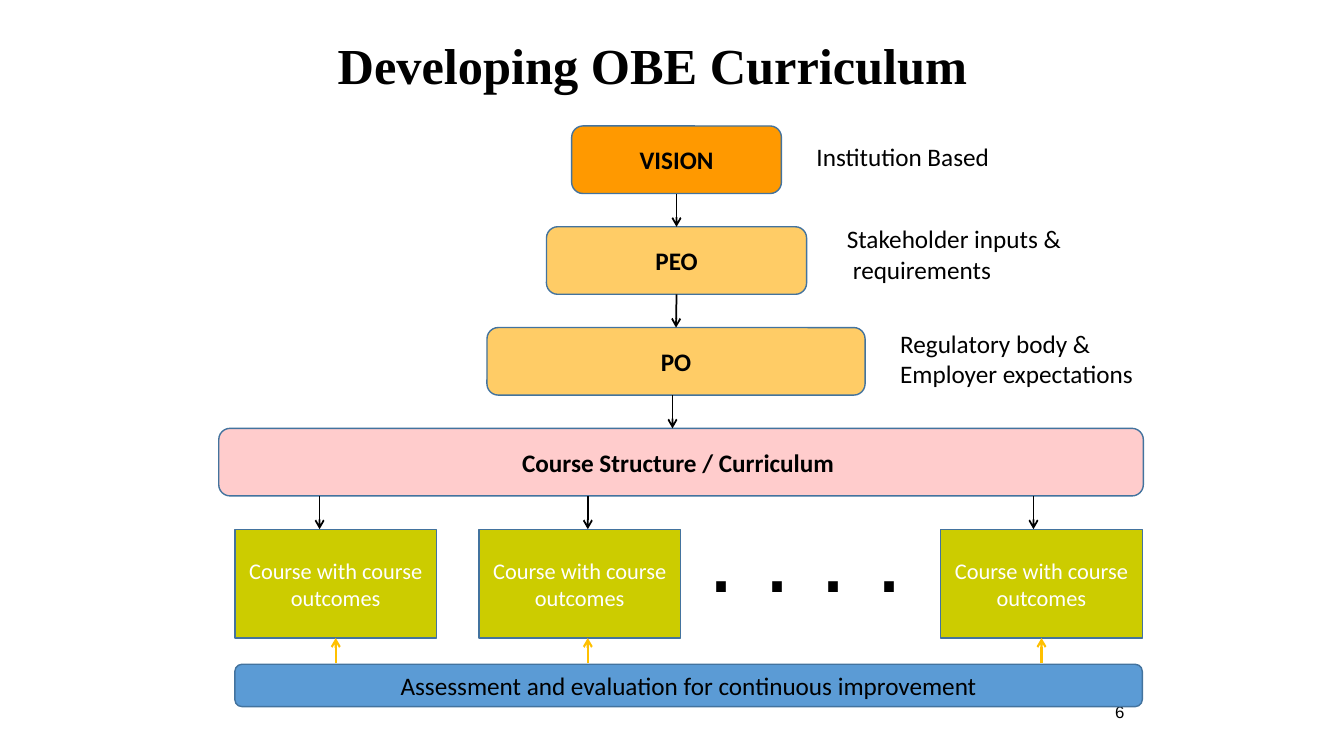
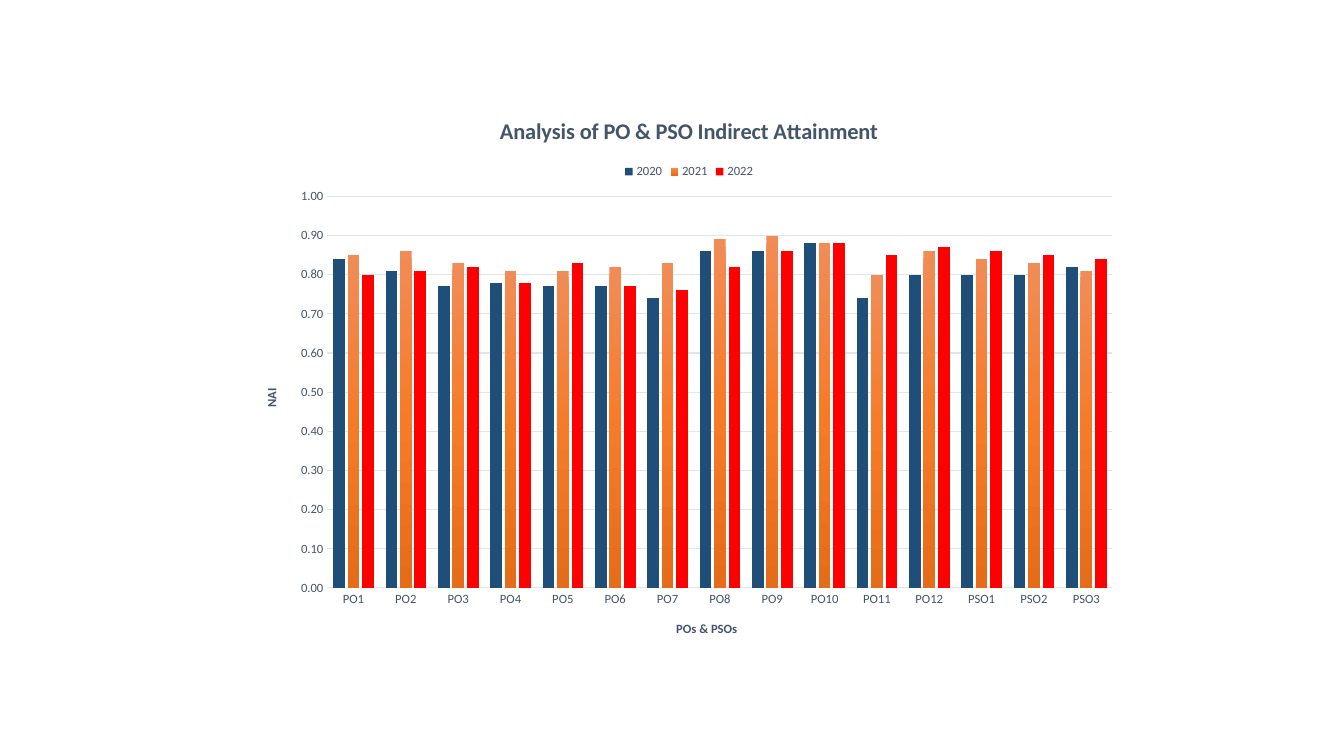
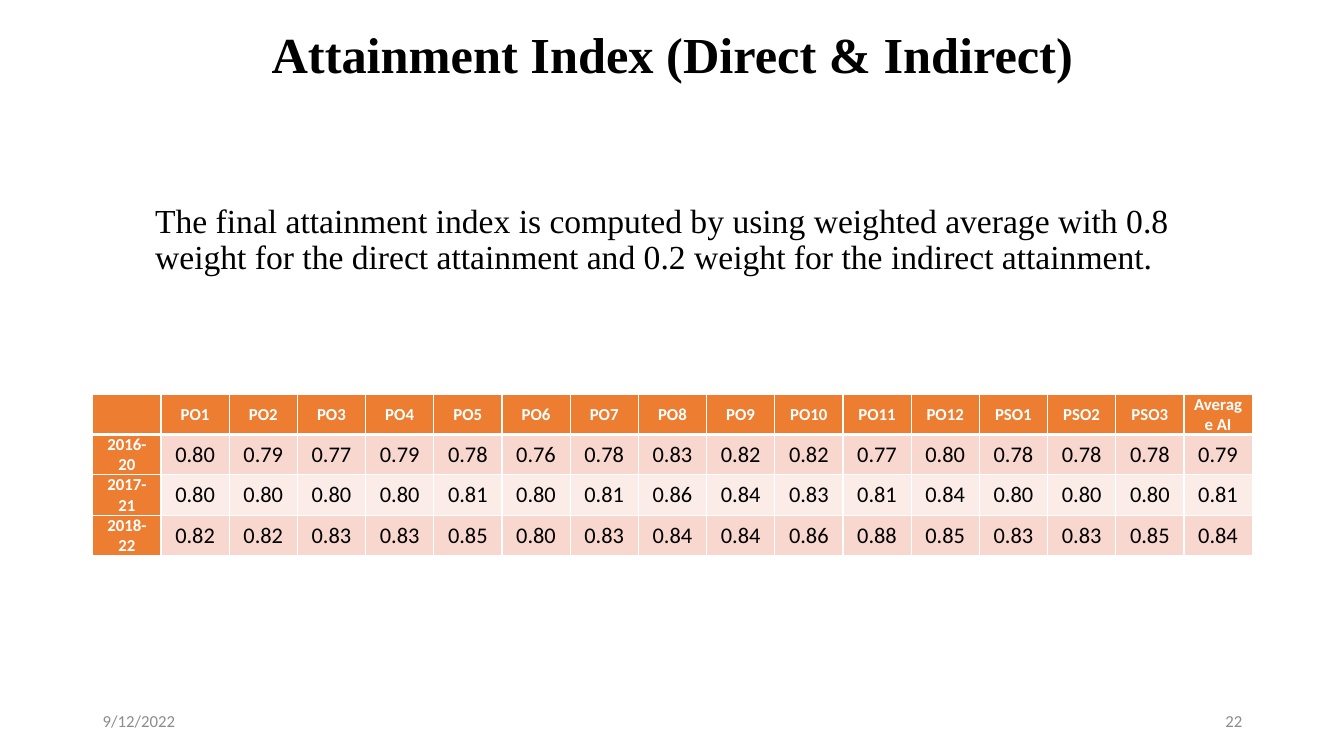
from dataclasses import dataclass

from lxml import etree
from copy import deepcopy
from pptx import Presentation
from pptx import util as u
from pptx.chart import data as chart_data
from pptx.dml.color import RGBColor
from pptx.enum import chart as charts, shapes, text
from pptx.oxml import parse_xml
from pptx.oxml.ns import nsdecls, qn

LEFT, CENTER, RIGHT = text.PP_ALIGN.LEFT, text.PP_ALIGN.CENTER, text.PP_ALIGN.RIGHT
TOP, MIDDLE = text.MSO_ANCHOR.TOP, text.MSO_ANCHOR.MIDDLE
ROUNDED = shapes.MSO_SHAPE.ROUNDED_RECTANGLE
RECTANGLE = shapes.MSO_SHAPE.RECTANGLE


@dataclass(frozen=True)
class Theme:
    serif: str = "Times New Roman"
    sans: str = "Calibri"
    plain: str = "Arial"
    black: str = "000000"
    white: str = "FFFFFF"
    grey: str = "8C8C8C"
    outline: str = "43739E"
    vision: str = "FF9900"
    goal: str = "FFCC66"
    structure: str = "FFCCCC"
    course: str = "CCCC00"
    assessment: str = "5B9BD5"
    feedback: str = "FFC000"
    slate: str = "44546A"
    grid: str = "E0E5EB"
    navy: str = "1F4E79"
    red: str = "FF0000"
    flame: tuple = ((0, "F18C57"), (0.5, "F67B28"), (1, "E56C19"))
    header: str = "ED7D31"
    bands: tuple = ("F8D7CE", "FCECE8")
    title_size: int = 36
    body_size: int = 24
    label_size: int = 18
    cell_size: int = 16
    small_size: int = 12
    axis_size: int = 9
    dots_size: int = 72


THEME = Theme()


def rgb(value):
    return RGBColor.from_string(value)


def set_font(font, size, color=THEME.black, name=THEME.sans, bold=False):
    font.size, font.name, font.bold = u.Pt(size), name, bold
    font.color.rgb = rgb(color)


class Builder:
    """Holds the deck, its style and the slide being filled."""

    def __init__(self):
        self.deck = Presentation()
        self.deck.slide_width = u.Inches(13.33)
        self.deck.slide_height = u.Inches(7.5)
        self.page = None

    def new_page(self):
        self.page = self.deck.slides.add_slide(self.deck.slide_layouts[6])

    def set_text(self, frame, lines, size, align=LEFT, anchor=TOP, spacing=None,
                 indents=(), **font):
        frame.vertical_anchor = anchor
        for index, line in enumerate(lines):
            para = frame.paragraphs[0] if index == 0 else frame.add_paragraph()
            para.text = line
            para.alignment = align
            if spacing:
                para.line_spacing = spacing
            if index < len(indents):
                para._p.get_or_add_pPr().set("marL", str(u.Inches(indents[index])))
            set_font(para.font, size, **font)

    def text_box(self, place, *lines, size=THEME.label_size, wrap=True, **style):
        box = self.page.shapes.add_textbox(*map(u.Inches, place))
        frame = box.text_frame
        frame.word_wrap = wrap
        if not wrap:
            frame.auto_size = text.MSO_AUTO_SIZE.SHAPE_TO_FIT_TEXT
        self.set_text(frame, lines, size, **style)

    def title(self, place, words, align=LEFT):
        self.text_box(place, words, size=THEME.title_size, align=align, anchor=MIDDLE,
                      spacing=0.9, name=THEME.serif, bold=True)

    def block(self, place, words, fill, kind=ROUNDED, size=THEME.label_size, **font):
        box = self.page.shapes.add_shape(kind, *map(u.Inches, place))
        box.shadow.inherit = False
        box.fill.solid()
        box.fill.fore_color.rgb = rgb(fill)
        box.line.color.rgb = rgb(THEME.outline)
        box.line.width = u.Pt(1)
        box.text_frame.word_wrap = True
        self.set_text(box.text_frame, [words], size, CENTER, MIDDLE, **font)
        return box

    def arrow(self, x, top, bottom, color=THEME.black, width=1.25, begin=None, end=None):
        """Vertical arrow; begin and end are (box, side) pairs to join."""
        line = self.page.shapes.add_connector(
            shapes.MSO_CONNECTOR.STRAIGHT, *map(u.Inches, (x, top, x, bottom)))
        if begin:
            line.begin_connect(*begin)
        if end:
            line.end_connect(*end)
        line.line.color.rgb = rgb(color)
        line.line.width = u.Pt(width)
        etree.SubElement(line.line._get_or_add_ln(), qn("a:tailEnd"), type="arrow")
        etree.SubElement(line._element.spPr, qn("a:effectLst"))

    def column_chart(self, place, title, axis_titles, categories, series, layout):
        data = chart_data.CategoryChartData(number_format="0.00")
        data.categories = categories
        for name, _, values in series:
            data.add_series(name, values)
        chart = self.page.shapes.add_chart(
            charts.XL_CHART_TYPE.COLUMN_CLUSTERED, *map(u.Inches, place), data).chart
        set_font(chart.font, THEME.axis_size, THEME.slate)

        # Titles and legend
        chart.has_title = True
        chart.chart_title.include_in_layout = False
        axes = (chart.category_axis, chart.value_axis)
        headings = [(chart.chart_title, title, THEME.cell_size)]
        headings += [(axis.axis_title, words, THEME.axis_size)
                     for axis, words in zip(axes, axis_titles)]
        for heading, words, size in headings:
            self.set_text(heading.text_frame, [words], size, CENTER,
                          color=THEME.slate, bold=True)
        chart.has_legend = True
        chart.legend.position = charts.XL_LEGEND_POSITION.TOP
        chart.legend.include_in_layout = False
        set_font(chart.legend.font, THEME.axis_size, THEME.slate)

        # Axes
        for axis in axes:
            axis.major_tick_mark = charts.XL_TICK_MARK.NONE
            set_font(axis.tick_labels.font, THEME.axis_size, THEME.slate)
        category, value = axes
        value.minimum_scale, value.maximum_scale, value.major_unit = 0, 1, 0.1
        value.tick_labels.number_format = "0.00"
        value.tick_labels.number_format_is_linked = False
        value.format.line.fill.background()
        for line in (category.format.line, value.major_gridlines.format.line):
            line.color.rgb = rgb(THEME.grid)
            line.width = u.Pt(0.75)

        # Columns
        plot = chart.plots[0]
        plot.gap_width, plot.overlap, plot.vary_by_categories = 100, -24, False
        for columns, (_, color, _) in zip(plot.series, series):
            fill = columns.format.fill
            if isinstance(color, str):
                fill.solid()
                fill.fore_color.rgb = rgb(color)
            else:
                self.gradient(columns, color)

        # Plot area placed as fractions of the chart
        parts = "".join(f'<c:{tag} val="{val}"/>' for tag, val in zip("xywh", layout))
        area = chart._chartSpace.chart.plotArea
        for old in area.findall(qn("c:layout")):
            area.remove(old)
        area.insert(0, parse_xml(
            f'<c:layout {nsdecls("c")}><c:manualLayout><c:layoutTarget val="inner"/>'
            f'<c:xMode val="edge"/><c:yMode val="edge"/>{parts}'
            '</c:manualLayout></c:layout>'))

    def gradient(self, columns, colors):
        fill = columns.format.fill
        fill.gradient()
        fill.gradient_angle = 270
        stops = columns._element.find(".//" + qn("a:gsLst"))
        while len(stops) < len(colors):
            stops.append(deepcopy(stops[0]))
        for stop, (position, color) in zip(fill.gradient_stops, colors):
            stop.position = position
            stop.color.rgb = rgb(color)

    def table(self, place, rows):
        grid = self.page.shapes.add_table(
            len(rows), len(rows[0]), *map(u.Inches, place)).table
        grid.horz_banding = False
        for r, row in enumerate(rows):
            for c, words in enumerate(row):
                cell = grid.cell(r, c)
                heading = r == 0 or c == 0
                cell.margin_left = cell.margin_right = u.Inches(0.07)
                cell.margin_top = cell.margin_bottom = 0
                self.set_text(cell.text_frame, [words],
                              THEME.small_size if heading else THEME.cell_size, CENTER,
                              color=THEME.white if heading else THEME.black, bold=heading)
                cell.vertical_anchor = MIDDLE
                self.borders(cell, top=3 if r == 1 else 1, bottom=3 if r == 0 else 1)
                cell.fill.solid()
                cell.fill.fore_color.rgb = rgb(
                    THEME.header if heading else THEME.bands[(r - 1) % 2])

    def borders(self, cell, top, bottom):
        properties = cell._tc.get_or_add_tcPr()
        for side, width in (("L", 1), ("R", 1), ("T", top), ("B", bottom)):
            properties.append(parse_xml(
                f'<a:ln{side} {nsdecls("a")} w="{u.Pt(width)}"><a:solidFill>'
                f'<a:srgbClr val="{THEME.white}"/></a:solidFill></a:ln{side}>'))


def curriculum(build):
    build.new_page()
    build.title((3.25, 0.05, 6.92, 1.25), "Developing OBE Curriculum")
    build.text_box((8.92, 6.8, 2.33, 0.52), "6", size=THEME.small_size, align=RIGHT,
                   anchor=MIDDLE, name=THEME.plain)

    # Levels, one inch apart
    levels = (("VISION", 5.67, 2.08, THEME.vision),
              ("PEO", 5.42, 2.58, THEME.goal),
              ("PO", 4.83, 3.75, THEME.goal),
              ("Course Structure / Curriculum ", 2.17, 9.17, THEME.structure))
    vision, peo, po, _ = [
        build.block((left, 1.25 + step, width, 0.67), words, fill, bold=True)
        for step, (words, left, width, fill) in enumerate(levels)]
    build.arrow(6.71, 1.92, 2.25, begin=(vision, 2), end=(peo, 0))
    build.arrow(6.71, 2.92, 3.25, begin=(peo, 2), end=(po, 0))
    build.arrow(6.67, 3.92, 4.25)

    # Courses and the assessment bar feeding them
    courses = [build.block((left, 5.25, 2, 1.08), "Course with course outcomes",
                           THEME.course, RECTANGLE, THEME.cell_size, color=THEME.white)
               for left in (2.33, 4.75, 9.33)]
    build.text_box((6.92, 4.83, 2.17, 1.31), ". . . .", size=THEME.dots_size,
                   name=THEME.plain)
    build.block((2.33, 6.59, 9, 0.42),
                "Assessment and evaluation for continuous improvement", THEME.assessment)
    ends = ((courses[0], 2), None, (courses[2], 2))
    for down, up, end in zip((3.17, 5.83, 10.25), (3.33, 5.83, 10.33), ends):
        build.arrow(down, 4.92, 5.25)
        build.arrow(up, 6.58, 6.33, THEME.feedback, 1.5, end=end)

    # Side notes
    build.text_box((8, 1.35, 1.93, 0.4), "Institution Based", wrap=False)
    build.text_box((8.3, 2.17, 2.35, 0.71), "Stakeholder inputs &", "requirements",
                   wrap=False, indents=(0, 0.06))
    build.text_box((8.83, 3.21, 2.54, 0.71), "Regulatory body &",
                   "Employer expectations", wrap=False)


def indirect_attainment(build, outcomes):
    build.new_page()
    series = (
        ("2020", THEME.navy, (0.84, 0.81, 0.77, 0.78, 0.77, 0.77, 0.74, 0.86, 0.86,
                              0.88, 0.74, 0.8, 0.8, 0.8, 0.82)),
        ("2021", THEME.flame, (0.85, 0.86, 0.83, 0.81, 0.81, 0.82, 0.83, 0.89, 0.9,
                               0.88, 0.8, 0.86, 0.84, 0.83, 0.81)),
        ("2022", THEME.red, (0.8, 0.81, 0.82, 0.78, 0.83, 0.77, 0.76, 0.82, 0.86,
                             0.88, 0.85, 0.87, 0.86, 0.85, 0.84)))
    build.column_chart((2.46, 0.95, 8.75, 5.55),
                       "Analysis of PO & PSO Indirect Attainment",
                       ("POs & PSOs", "NAI"), outcomes, series,
                       layout=(0.09, 0.18, 0.89, 0.7))


def attainment_index(build, outcomes):
    build.new_page()
    build.title((1.27, 0.17, 10.8, 0.8), "Attainment Index (Direct & Indirect)", CENTER)
    build.text_box((1.44, 1.98, 10.8, 0.88),
                   "The final attainment index is computed by using weighted average "
                   "with 0.8 weight for the direct attainment and 0.2 weight for the "
                   "indirect attainment.",
                   size=THEME.body_size, spacing=0.9, name=THEME.serif)
    for left, words, align in ((0.92, "9/12/2022", LEFT), (9.42, "22", RIGHT)):
        build.text_box((left, 6.95, 3, 0.4), words, size=THEME.small_size, align=align,
                       anchor=MIDDLE, color=THEME.grey)
    batches = (
        "2016-20 0.80 0.79 0.77 0.79 0.78 0.76 0.78 0.83 0.82 0.82 0.77 0.80 0.78 0.78 0.78 0.79",
        "2017-21 0.80 0.80 0.80 0.80 0.81 0.80 0.81 0.86 0.84 0.83 0.81 0.84 0.80 0.80 0.80 0.81",
        "2018-22 0.82 0.82 0.83 0.83 0.85 0.80 0.83 0.84 0.84 0.86 0.88 0.85 0.83 0.83 0.85 0.84")
    build.table((0.92, 3.91, 11.5, 1.6),
                [["", *outcomes, "Average AI"], *(batch.split() for batch in batches)])


def main():
    build = Builder()
    outcomes = [f"PO{n}" for n in range(1, 13)] + [f"PSO{n}" for n in range(1, 4)]
    curriculum(build)
    indirect_attainment(build, outcomes)
    attainment_index(build, outcomes)
    build.deck.save("out.pptx")


if __name__ == "__main__":
    main()
